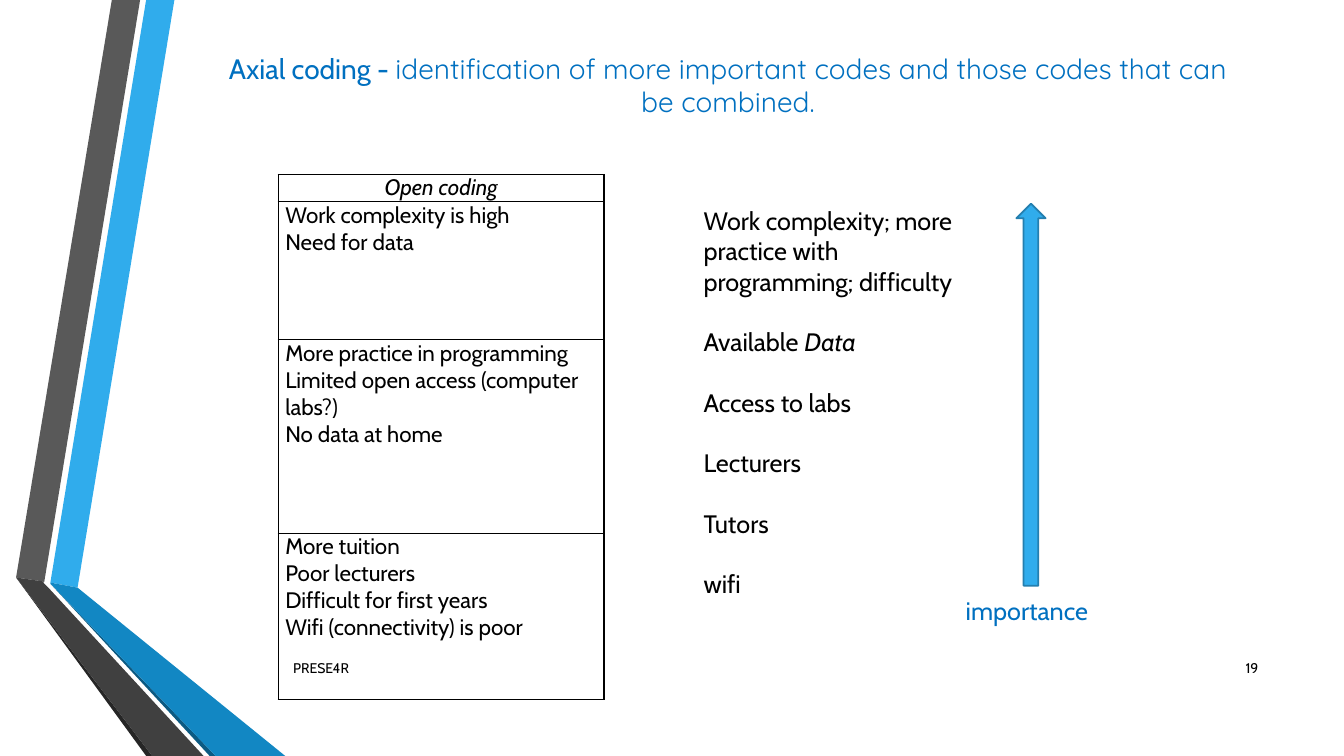
import pptx
import pptx.util
import pptx.dml.color
import pptx.enum.shapes
import pptx.enum.text
import pptx.oxml
import pptx.oxml.ns
from dataclasses import dataclass

PX = 9144  # EMU per px, 100 px to the inch
ALIGN = pptx.enum.text.PP_ALIGN
ANCHOR = pptx.enum.text.MSO_ANCHOR


@dataclass(frozen=True)
class Theme:
    body_font: str = "Cabin"
    light_font: str = "Quicksand"
    black: str = "000000"
    heading: str = "0070C0"
    accent: str = "30ACEC"
    accent_line: str = "247FAF"
    accent_dark: str = "1287C3"
    accent_shadow: str = "0C5A82"
    grey: str = "595959"
    grey_dark: str = "404040"
    grey_shadow: str = "262626"
    title_size: float = 20
    body_size: float = 18
    table_size: float = 16
    footer_size: float = 10
    topic_gap: float = 21.6


THEME = Theme()

# Decorative ribbons, back to front: colour and corner points
RIBBONS = [
    (THEME.accent, [(50, 578), (77, 583), (173, 0), (145, 0)]),
    (THEME.grey, [(139, 0), (111, 0), (16, 573), (44, 577)]),
    (THEME.grey_shadow, [(16, 573), (145, 750), (151, 750)]),
    (THEME.accent_shadow, [(50, 579), (208, 750), (214, 750)]),
    (THEME.accent_dark, [(50, 579), (214, 750), (283, 750), (77, 583), (50, 578)]),
    (THEME.grey_dark, [(202, 750), (48, 583), (43, 578), (44, 577), (16, 573), (151, 750)]),
]

# Table rows: height and lines
OPEN_CODES = [
    (27, ["Open coding"]),
    (137, ["Work complexity is high", "Need for data"]),
    (192, ["More practice in programming", "Limited open access (computer labs?)",
           "No data at home"]),
    (165, ["More tuition", "Poor lecturers", "Difficult for first years",
           "Wifi (connectivity) is poor"]),
]

# Ranked topics: plain text and italic ending
TOPICS = [
    ("Work complexity; more practice with programming; difficulty", ""),
    ("Available", " Data"),
    ("Access to labs", ""),
    ("Lecturers", ""),
    ("Tutors", ""),
    ("wifi", ""),
]


def rgb(colour):
    return pptx.dml.color.RGBColor.from_string(colour)


def style_font(font, size, colour=THEME.black, name=THEME.body_font):
    font.size = pptx.util.Pt(size)
    font.name = name
    font.color.rgb = rgb(colour)


def add_ribbon(slide, colour, points):
    builder = slide.shapes.build_freeform(*points[0], scale=PX)
    builder.add_line_segments(points[1:], close=True)
    shape = builder.convert_to_shape()
    shape.shadow.inherit = False
    shape.fill.solid()
    shape.fill.fore_color.rgb = rgb(colour)
    shape.line.fill.background()


def add_text_frame(slide, left, top, width, height, anchor=ANCHOR.TOP):
    box = slide.shapes.add_textbox(left * PX, top * PX, width * PX, height * PX)
    frame = box.text_frame
    frame.word_wrap = True
    frame.vertical_anchor = anchor
    return frame


def add_label(slide, bounds, text, size, colour=THEME.black,
              align=ALIGN.LEFT, anchor=ANCHOR.TOP):
    paragraph = add_text_frame(slide, *bounds, anchor).paragraphs[0]
    paragraph.text = text
    paragraph.alignment = align
    style_font(paragraph.font, size, colour)


def add_title(slide):
    paragraph = add_text_frame(slide, 204, 46, 1036, 77).paragraphs[0]
    paragraph.alignment = ALIGN.CENTER
    parts = [
        ("Axial coding - ", THEME.body_font),
        ("identification of more important codes and those codes that can be combined.",
         THEME.light_font),
    ]
    for text, name in parts:
        run = paragraph.add_run()
        run.text = text
        style_font(run.font, THEME.title_size, THEME.heading, name)


def add_borders(cell):
    properties = cell._tc.get_or_add_tcPr()
    for index, side in enumerate(("lnL", "lnR", "lnT", "lnB")):
        border = pptx.oxml.parse_xml(
            f'<a:{side} {pptx.oxml.ns.nsdecls("a")} w="12700"><a:solidFill>'
            f'<a:srgbClr val="{THEME.black}"/></a:solidFill></a:{side}>')
        properties.insert(index, border)


def fill_cell(cell, lines, is_header):
    cell.margin_left = cell.margin_right = 7 * PX
    cell.margin_top = cell.margin_bottom = 0
    cell.fill.background()
    add_borders(cell)
    cell.text = "\n".join(lines)
    for paragraph in cell.text_frame.paragraphs:
        paragraph.alignment = ALIGN.CENTER if is_header else ALIGN.LEFT
        style_font(paragraph.font, THEME.table_size)
        paragraph.font.italic = is_header


def add_code_table(slide):
    total = sum(height for height, lines in OPEN_CODES)
    table = slide.shapes.add_table(
        len(OPEN_CODES), 1, 276 * PX, 173 * PX, 323 * PX, total * PX).table
    table.first_row = table.horz_banding = False
    for index, (height, lines) in enumerate(OPEN_CODES):
        table.rows[index].height = height * PX
        fill_cell(table.cell(index, 0), lines, is_header=index == 0)


def add_topics(slide):
    frame = add_text_frame(slide, 688, 199, 287, 464)
    for index, (text, italic_text) in enumerate(TOPICS):
        paragraph = frame.add_paragraph() if index else frame.paragraphs[0]
        if index:
            paragraph.space_before = pptx.util.Pt(THEME.topic_gap)
        paragraph.add_run().text = text
        if italic_text:
            run = paragraph.add_run()
            run.text = italic_text
            run.font.italic = True
        style_font(paragraph.font, THEME.body_size)


def add_importance_arrow(slide):
    arrow = slide.shapes.add_shape(
        pptx.enum.shapes.MSO_SHAPE.UP_ARROW, 1008 * PX, 202 * PX, 29 * PX, 379 * PX)
    arrow.shadow.inherit = False
    arrow.fill.solid()
    arrow.fill.fore_color.rgb = rgb(THEME.accent)
    arrow.line.color.rgb = rgb(THEME.accent_line)
    arrow.line.width = pptx.util.Pt(1.25)


def main():
    presentation = pptx.Presentation()
    presentation.slide_width = 1333 * PX
    presentation.slide_height = 750 * PX
    slide = presentation.slides.add_slide(presentation.slide_layouts[6])

    # Background ribbons
    for colour, points in RIBBONS:
        add_ribbon(slide, colour, points)

    # Title and open codes
    add_title(slide)
    add_code_table(slide)

    # Topics ranked by importance
    add_topics(slide)
    add_importance_arrow(slide)
    add_label(slide, (948, 586, 150, 40), "importance", THEME.body_size, THEME.heading)

    # Footer and slide number
    add_label(slide, (281, 643, 775, 40), "PRESE4R", THEME.footer_size,
              anchor=ANCHOR.MIDDLE)
    add_label(slide, (1198, 643, 60, 40), "19", THEME.footer_size,
              align=ALIGN.RIGHT, anchor=ANCHOR.MIDDLE)

    presentation.save("out.pptx")


if __name__ == "__main__":
    main()
